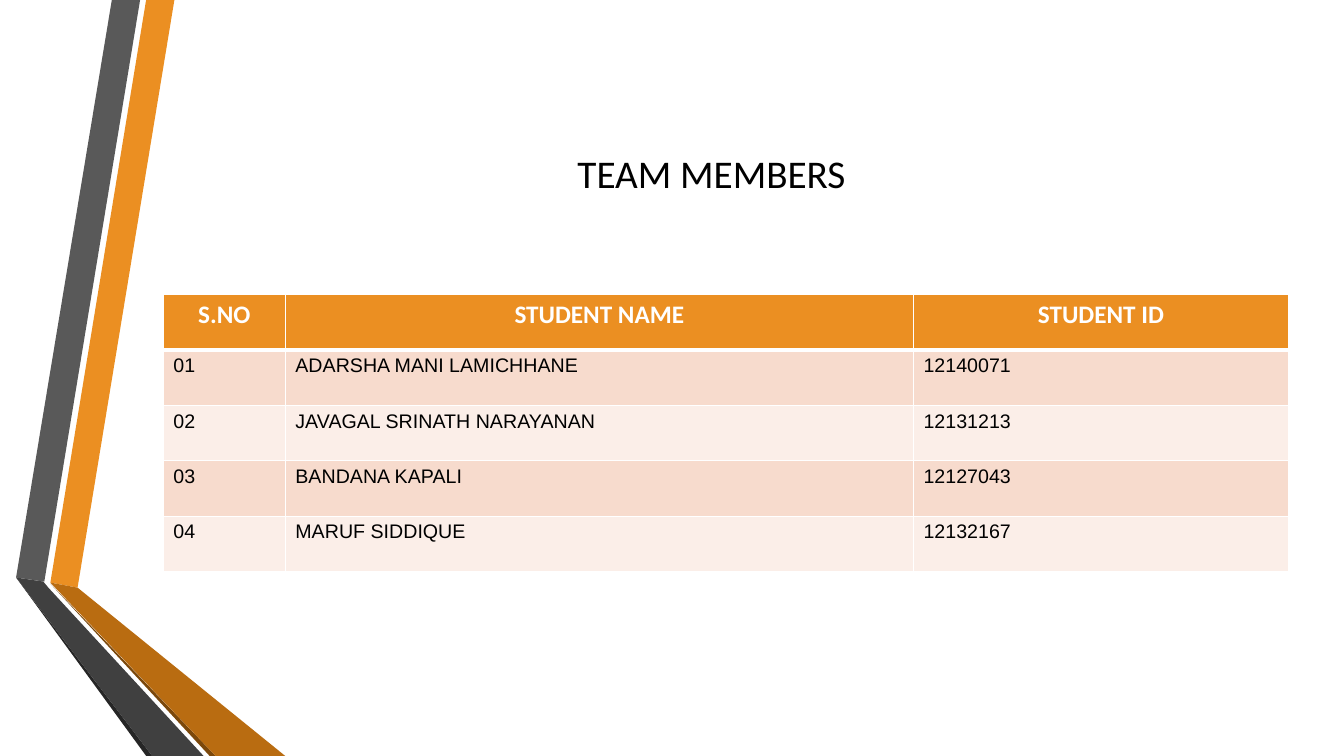
import pptx
import pptx.dml.color
import pptx.enum.text
import pptx.oxml
import pptx.oxml.ns
import pptx.util

RGBColor = pptx.dml.color.RGBColor
PP_ALIGN = pptx.enum.text.PP_ALIGN
PX = 9144  # 100 px to the inch

WHITE = RGBColor(0xFF, 0xFF, 0xFF)
BLACK = RGBColor(0x00, 0x00, 0x00)
ORANGE = RGBColor(0xEB, 0x8F, 0x22)
DARK_ORANGE = RGBColor(0xB9, 0x6C, 0x11)
BROWN = RGBColor(0x7B, 0x48, 0x0B)
GREY = RGBColor(0x59, 0x59, 0x59)
DARK_GREY = RGBColor(0x40, 0x40, 0x40)
CHARCOAL = RGBColor(0x26, 0x26, 0x26)
PEACH = RGBColor(0xF7, 0xDB, 0xCD)
PALE_PEACH = RGBColor(0xFB, 0xEE, 0xE8)

RIBBONS = [
    (ORANGE, [(50, 578), (77, 583), (173, 0), (145, 0)]),
    (GREY, [(139, 0), (111, 0), (16, 573), (44, 577)]),
    (CHARCOAL, [(16, 573), (145, 750), (151, 750)]),
    (BROWN, [(50, 579), (208, 750), (214, 750)]),
    (DARK_ORANGE, [(50, 578), (214, 750), (283, 750), (77, 583)]),
    (DARK_GREY, [(202, 750), (48, 583), (43, 577), (16, 573), (151, 750)]),
]
COLUMN_WIDTHS = [121, 623, 372]
ROW_HEIGHT = 55
MEMBERS = [
    ("S.NO", "STUDENT NAME", "STUDENT ID"),
    ("01", "ADARSHA MANI LAMICHHANE", "12140071"),
    ("02", "JAVAGAL SRINATH NARAYANAN", "12131213"),
    ("03", "BANDANA KAPALI", "12127043"),
    ("04", "MARUF SIDDIQUE", "12132167"),
]


def add_span(para, text, font, size, color, bold=False):
    span = para.add_run()
    span.text = text
    span.font.name = font
    span.font.size = pptx.util.Pt(size)
    span.font.bold = bold
    span.font.color.rgb = color


def add_border(cell, side, points):
    line = pptx.oxml.parse_xml(
        f'<a:{side} {pptx.oxml.ns.nsdecls("a")} w="{points * 12700}">'
        f'<a:solidFill><a:srgbClr val="{WHITE}"/></a:solidFill></a:{side}>'
    )
    cell._tc.get_or_add_tcPr().append(line)


deck = pptx.Presentation()
deck.slide_width = 1333 * PX
deck.slide_height = 750 * PX
page = deck.slides.add_slide(deck.slide_layouts[5])
page.background.fill.solid()
page.background.fill.fore_color.rgb = WHITE

for color, points in RIBBONS:
    builder = page.shapes.build_freeform(*points[0], scale=PX)
    builder.add_line_segments(points[1:], close=True)
    ribbon = builder.convert_to_shape()
    ribbon.shadow.inherit = False
    ribbon.fill.solid()
    ribbon.fill.fore_color.rgb = color
    ribbon.line.fill.background()

title = page.shapes.title
title.left, title.top = 162 * PX, 75 * PX
title.width, title.height = 1096 * PX, 192 * PX
title.text_frame.vertical_anchor = pptx.enum.text.MSO_ANCHOR.MIDDLE
para = title.text_frame.paragraphs[0]
para.alignment = PP_ALIGN.CENTER
add_span(para, "TEAM MEMBERS ", "Calibri", 28, BLACK)

table = page.shapes.add_table(
    len(MEMBERS), len(COLUMN_WIDTHS), 162 * PX, 292 * PX,
    sum(COLUMN_WIDTHS) * PX, len(MEMBERS) * ROW_HEIGHT * PX,
).table
for column, width in zip(table.columns, COLUMN_WIDTHS):
    column.width = width * PX

for row, member in enumerate(MEMBERS):
    for col, text in enumerate(member):
        cell = table.cell(row, col)
        for side in ("lnL", "lnR", "lnT", "lnB"):
            under_header = (row, side) in [(0, "lnB"), (1, "lnT")]
            add_border(cell, side, 3 if under_header else 1)
        cell.fill.solid()
        para = cell.text_frame.paragraphs[0]
        if row == 0:
            cell.fill.fore_color.rgb = ORANGE
            para.alignment = PP_ALIGN.CENTER
            add_span(para, text, "Calibri", 18, WHITE, bold=True)
        else:
            cell.fill.fore_color.rgb = PEACH if row % 2 else PALE_PEACH
            add_span(para, text, "Arial", 14, BLACK)

deck.save("out.pptx")
